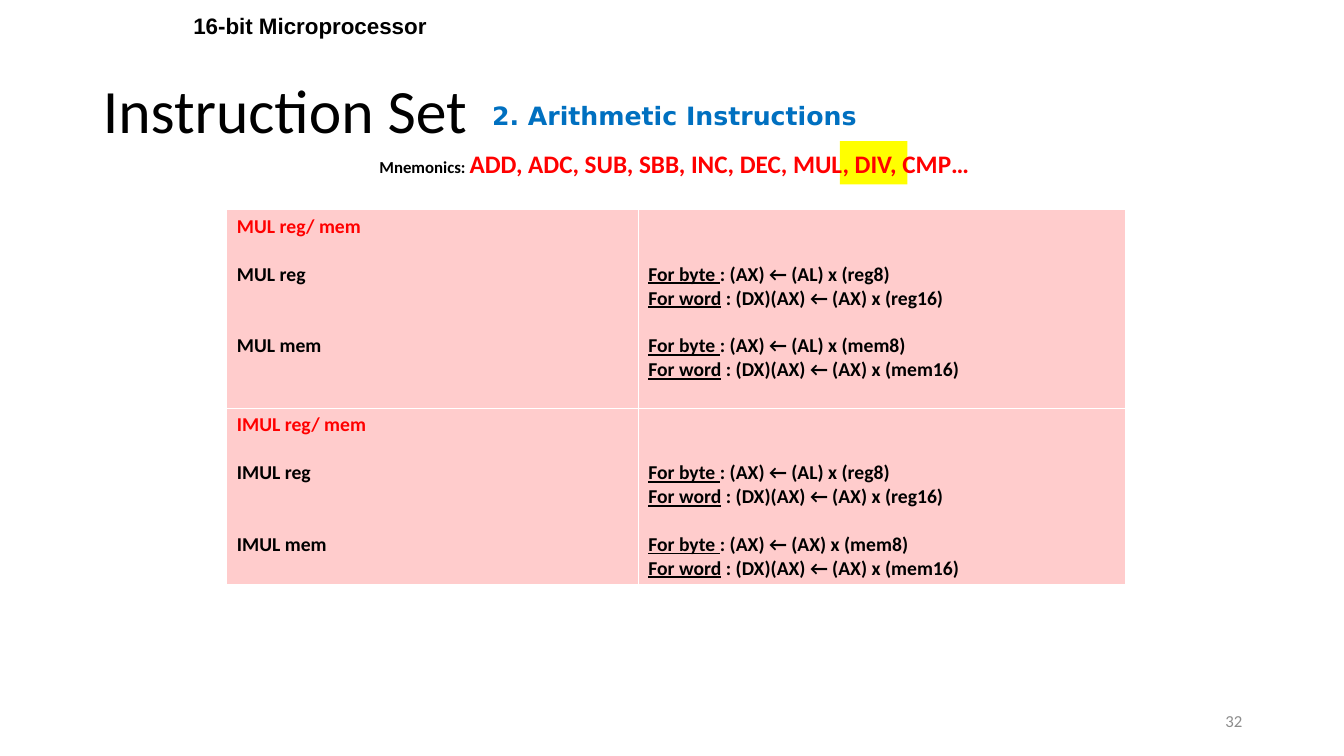
from dataclasses import dataclass

from lxml import etree
from pptx import Presentation
from pptx.dml.color import RGBColor
from pptx.enum.shapes import MSO_SHAPE
from pptx.enum.text import MSO_ANCHOR, PP_ALIGN
from pptx.oxml.ns import qn
from pptx.slide import Slide
from pptx.table import _Cell
from pptx.text.text import TextFrame, _Paragraph
from pptx.util import Inches, Pt

LEFT, CENTER, RIGHT = PP_ALIGN.LEFT, PP_ALIGN.CENTER, PP_ALIGN.RIGHT
TOP, MIDDLE = MSO_ANCHOR.TOP, MSO_ANCHOR.MIDDLE
RECTANGLE = MSO_SHAPE.RECTANGLE

BLACK = RGBColor(0x00, 0x00, 0x00)
WHITE = RGBColor(0xFF, 0xFF, 0xFF)
RED = RGBColor(0xFF, 0x00, 0x00)
BLUE = RGBColor(0x00, 0x70, 0xC0)
GREY = RGBColor(0x8C, 0x8C, 0x8C)
YELLOW = RGBColor(0xFF, 0xFF, 0x00)
PINK = RGBColor(0xFF, 0xCC, 0xCC)

TABLE_LINE = 17.1  # points taken by one 14 pt line


@dataclass(frozen=True)
class Span:
    text: str
    size: float = 14
    color: RGBColor = BLACK
    bold: bool = True
    underline: bool = False
    font: str = "Calibri"


@dataclass(frozen=True)
class Label:
    left: float
    top: float
    width: float
    height: float
    spans: tuple[Span, ...]
    align: PP_ALIGN = CENTER
    anchor: MSO_ANCHOR = TOP


@dataclass(frozen=True)
class Multiply:
    mnemonic: str
    memory_byte_source: str
    height: float


LABELS = (
    Label(1.96, 0.93, 9.46, 0.43,
          (Span("2. Arithmetic Instructions", 18, BLUE, font="DejaVu Sans"),),
          anchor=MIDDLE),
    Label(9.42, 6.95, 3, 0.4, (Span("32", 12, GREY, bold=False),), RIGHT, MIDDLE),
    Label(1.74, 0.07, 2.67, 0.37, (Span("16-bit Microprocessor", 16, font="Arial"),)),
    Label(1.96, 1.42, 9.46, 0.4,
          (Span("Mnemonics: ", 12),
           Span("ADD, ADC, SUB, SBB, INC, DEC, MUL, DIV, CMP…", 18, RED))),
)
INSTRUCTIONS = (Multiply("MUL", "AL", 1.97), Multiply("IMUL", "AX", 1.73))
COLUMN_WIDTHS = (4.08, 4.83)


def add_spans(paragraph: _Paragraph, spans: tuple[Span, ...]) -> None:
    for span in spans:
        run = paragraph.add_run()
        run.text = span.text
        font = run.font
        font.name, font.size = span.font, Pt(span.size)
        font.bold, font.underline = span.bold, span.underline
        font.color.rgb = span.color


def add_label(slide: Slide, label: Label) -> None:
    box = slide.shapes.add_textbox(Inches(label.left), Inches(label.top),
                                   Inches(label.width), Inches(label.height))
    frame = box.text_frame
    frame.word_wrap = True
    frame.vertical_anchor = label.anchor
    frame.paragraphs[0].alignment = label.align
    add_spans(frame.paragraphs[0], label.spans)


def add_lines(frame: TextFrame, lines: list[tuple[int, tuple[Span, ...]]]) -> None:
    """Write lines, each given with the number of line heights left above it."""
    for index, (gap, spans) in enumerate(lines):
        paragraph = frame.add_paragraph() if index else frame.paragraphs[0]
        paragraph.space_before = Pt(gap * TABLE_LINE)
        add_spans(paragraph, spans)


def style_cell(cell: _Cell) -> None:
    properties = cell._tc.get_or_add_tcPr()
    for side in ("a:lnL", "a:lnR", "a:lnT", "a:lnB"):
        line = etree.SubElement(properties, qn(side), w=str(Pt(1)))
        solid = etree.SubElement(line, qn("a:solidFill"))
        etree.SubElement(solid, qn("a:srgbClr"), val=str(WHITE))
    cell.fill.solid()
    cell.fill.fore_color.rgb = PINK


def operations(operand: str, byte_source: str, gap: int) -> list[tuple[int, tuple[Span, ...]]]:
    """Give the byte and word results for one kind of operand."""
    return [
        (gap, (Span("For byte ", underline=True),
               Span(f": (AX) ← ({byte_source}) x ({operand}8)"))),
        (0, (Span("For word", underline=True),
             Span(f" : (DX)(AX) ← (AX) x ({operand}16)"))),
    ]


def add_instruction_table(slide: Slide) -> None:
    table = slide.shapes.add_table(
        len(INSTRUCTIONS), len(COLUMN_WIDTHS), Inches(2.25), Inches(2.08),
        Inches(sum(COLUMN_WIDTHS)),
        Inches(sum(item.height for item in INSTRUCTIONS))).table
    table.first_row = table.horz_banding = False
    for column, width in zip(table.columns, COLUMN_WIDTHS):
        column.width = Inches(width)
    for index, item in enumerate(INSTRUCTIONS):
        table.rows[index].height = Inches(item.height)
        syntax, results = table.cell(index, 0), table.cell(index, 1)
        style_cell(syntax)
        style_cell(results)
        add_lines(syntax.text_frame, [
            (0, (Span(f"{item.mnemonic} reg/ mem", color=RED),)),
            (1, (Span(f"{item.mnemonic} reg"),)),
            (2, (Span(f"{item.mnemonic} mem"),)),
        ])
        results.margin_top = Inches(0.05) + Pt(2 * TABLE_LINE)
        add_lines(results.text_frame, operations("reg", "AL", 0)
                  + operations("mem", item.memory_byte_source, 1))


def add_title(slide: Slide) -> None:
    title = slide.shapes.title
    title.left, title.top = Inches(0.92), Inches(0.4)
    title.width, title.height = Inches(11.5), Inches(1.45)
    title.text_frame.vertical_anchor = MIDDLE
    heading = title.text_frame.paragraphs[0]
    heading.alignment, heading.line_spacing = LEFT, 0.9
    add_spans(heading, (Span("Instruction Set", 44, bold=False),))


def add_highlight(slide: Slide) -> None:
    highlight = slide.shapes.add_shape(RECTANGLE, Inches(8.33), Inches(1.4),
                                       Inches(0.67), Inches(0.43))
    highlight.shadow.inherit = False
    highlight.fill.solid()
    highlight.fill.fore_color.rgb = YELLOW
    highlight.line.fill.background()


def main() -> None:
    deck = Presentation()
    deck.slide_width, deck.slide_height = Inches(13.33), Inches(7.5)
    slide = deck.slides.add_slide(deck.slide_layouts.get_by_name("Title Only"))
    add_highlight(slide)
    add_title(slide)
    for label in LABELS:
        add_label(slide, label)
    add_instruction_table(slide)
    deck.save("out.pptx")


if __name__ == "__main__":
    main()
